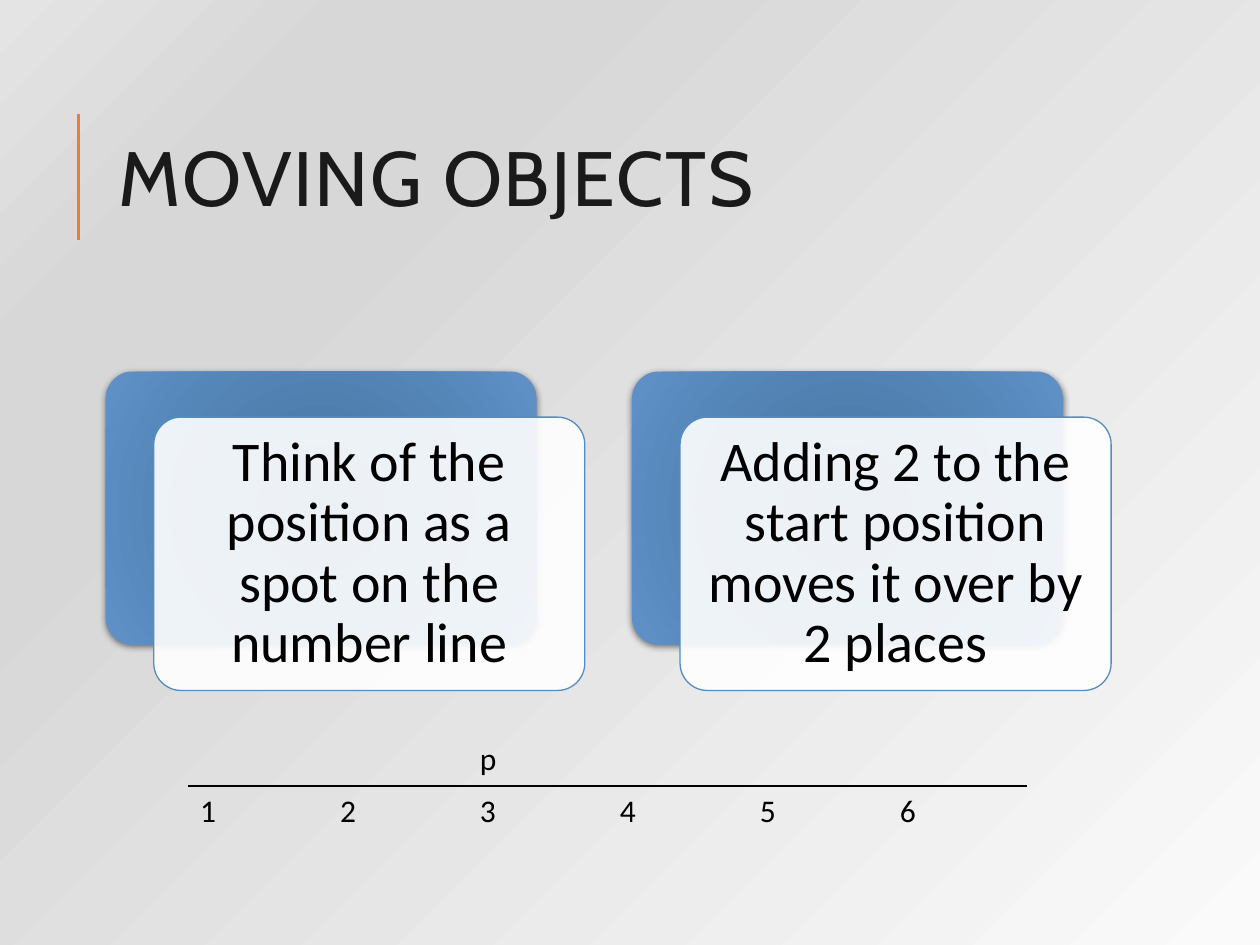
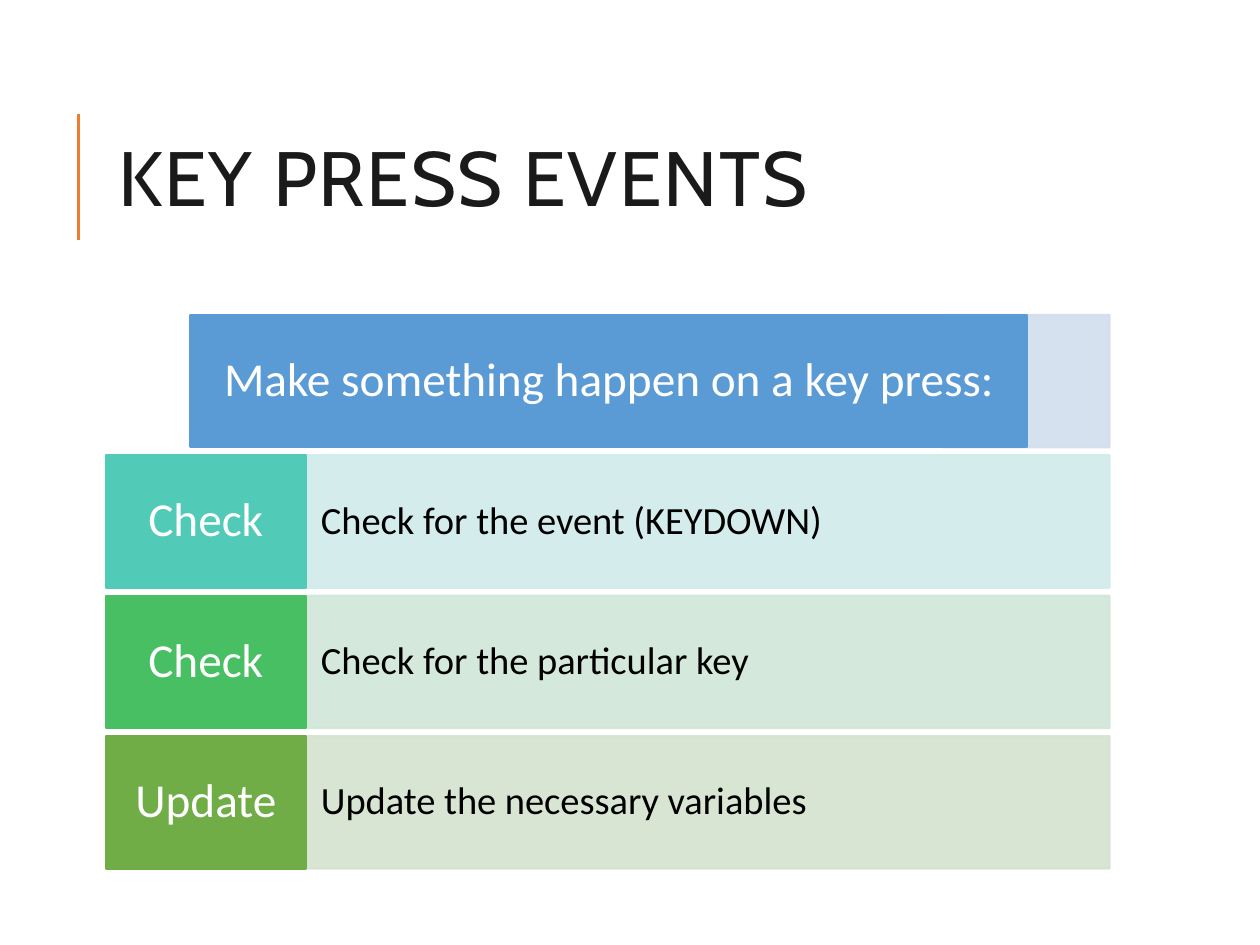
from dataclasses import dataclass

from lxml import etree
from pptx import Presentation
from pptx import util as u
from pptx.dml.color import RGBColor
from pptx.enum import shapes, text
from pptx.oxml import parse_xml
from pptx.oxml.ns import nsdecls, qn

COLOURS = {
    "white": "FFFFFF", "black": "000000", "title": "1A1A1A", "accent": "ED7D31",
    "card_line": "538DC1", "card_dark": "44749F", "card_light": "5F90C7",
    "blue": "5B9BD5", "blue_pale": "D2DEEF",
    "teal": "52CAB8", "teal_pale": "D0ECEA",
    "green": "49BF64", "green_pale": "D0E7D8",
    "olive": "70AD47", "olive_pale": "D5E3CF",
    "page_light": "FAFAFA", "page_mid": "D7D7D7", "page_end": "E4E4E4",
}
TITLE_FONT, BODY_FONT = "Cabin", "Calibri"
LEFT = 2.13


# Lengths in the records below are centimetres
@dataclass(frozen=True)
class Area:
    left: float
    top: float
    width: float
    height: float

    def lengths(self) -> list:
        return [u.Cm(n) for n in (self.left, self.top, self.width, self.height)]


@dataclass(frozen=True)
class Label:
    words: str
    size: int
    colour: str
    inset: tuple
    align: text.PP_ALIGN = text.PP_ALIGN.CENTER


@dataclass(frozen=True)
class Step:
    verb: str
    detail: str
    colour: str


def rgb(name: str) -> RGBColor:
    return RGBColor.from_string(COLOURS[name])


# Fills and effects
def gradient(parent, stops: list, direction: str) -> None:
    """Swap the solid fill of parent for a gradient."""
    marks = "".join(
        f'<a:gs pos="{place * 1000}"><a:srgbClr val="{COLOURS[name]}"/></a:gs>'
        for place, name in stops)
    fill = parse_xml(f'<a:gradFill {nsdecls("a")} rotWithShape="1">'
                     f'<a:gsLst>{marks}</a:gsLst>{direction}</a:gradFill>')
    parent.replace(parent.find(qn("a:solidFill")), fill)


def fade(shape, percent: int) -> None:
    for colour in shape._element.spPr.iter(qn("a:srgbClr")):
        etree.SubElement(colour, qn("a:alpha"), val=str(percent * 1000))


def soft_shadow(shape) -> None:
    effects = shape._element.spPr.find(qn("a:effectLst"))
    effects.append(parse_xml(
        f'<a:outerShdw {nsdecls("a")} blurRad="50800" dist="12700" dir="5400000" '
        f'algn="ctr" rotWithShape="0"><a:srgbClr val="{COLOURS["black"]}">'
        f'<a:alpha val="50000"/></a:srgbClr></a:outerShdw>'))


# Drawing
def add_span(para, words: str, size: int, colour: str, font: str = BODY_FONT):
    span = para.add_run()
    span.text = words
    span.font.size = u.Pt(size)
    span.font.name = font
    span.font.color.rgb = rgb(colour)
    return span


def add_box(page, area: Area, fill: str, line: str = "", weight: float = 1.25,
            opacity: int = 100, kind=shapes.MSO_SHAPE.RECTANGLE):
    box = page.shapes.add_shape(kind, *area.lengths())
    box.shadow.inherit = False
    box.fill.solid()
    box.fill.fore_color.rgb = rgb(fill)
    if line:
        box.line.color.rgb = rgb(line)
        box.line.width = u.Pt(weight)
    else:
        box.line.fill.background()
    if opacity < 100:
        fade(box, opacity)
    return box


def add_label(box, label: Label) -> None:
    frame = box.text_frame
    frame.word_wrap = True
    frame.vertical_anchor = text.MSO_ANCHOR.MIDDLE
    across, down = (u.Cm(n) for n in label.inset)
    frame.margin_left = frame.margin_right = across
    frame.margin_top = frame.margin_bottom = down
    para = frame.paragraphs[0]
    para.alignment = label.align
    para.line_spacing = 0.9
    add_span(para, label.words, label.size, label.colour)


def add_rule(page, x: float, top: float, bottom: float) -> None:
    rule = page.shapes.add_connector(
        shapes.MSO_CONNECTOR.STRAIGHT, u.Cm(x), u.Cm(bottom), u.Cm(x), u.Cm(top))
    rule.line.color.rgb = rgb("accent")
    rule.line.width = u.Pt(1.5)
    etree.SubElement(rule._element.spPr, qn("a:effectLst"))


def add_page(deck, heading: str):
    """Add a page with the shared accent rule and title style."""
    page = deck.slides.add_slide(deck.slide_layouts[5])
    page.background.fill.solid()
    page.background.fill.fore_color.rgb = rgb("white")
    add_rule(page, 1.58, 2.29, 4.83)
    title = page.shapes.title
    title.left, title.top, title.width, title.height = Area(LEFT, 1.63, 20.24, 4.17).lengths()
    frame = title.text_frame
    frame.word_wrap = True
    frame.auto_size = text.MSO_AUTO_SIZE.NONE
    frame.vertical_anchor = text.MSO_ANCHOR.MIDDLE
    para = frame.paragraphs[0]
    para.alignment = text.PP_ALIGN.LEFT
    para.line_spacing = 0.8
    span = add_span(para, heading, 44, "title", TITLE_FONT)
    span.font._element.set("spc", "100")
    return page


# Moving objects
def add_card(page, left: float, words: str) -> None:
    top, width, height = 7.49, 8.69, 5.51
    rounded = shapes.MSO_SHAPE.ROUNDED_RECTANGLE
    back = add_box(page, Area(left, top, width, height), "card_light", kind=rounded)
    gradient(back._element.spPr, [(0, "card_dark"), (100, "card_light")],
             '<a:path path="circle"><a:fillToRect l="100000" t="100000" '
             'r="100000" b="100000"/></a:path>')
    soft_shadow(back)
    front = add_box(page, Area(left + 0.97, top + 0.92, width, height), "white",
                    "card_line", 0.75, kind=rounded)
    front.fill.fore_color.rgb = rgb("white")
    fill_colour = front._element.spPr.find(qn("a:solidFill"))[0]
    etree.SubElement(fill_colour, qn("a:alpha"), val="90000")
    for box in (back, front):
        box.adjustments[0] = 0.1
    add_label(front, Label(words, 32, "black", (0.33, 0.33)))


def add_number_line(page, rows: list) -> None:
    area = Area(3.78, 14.81, 16.93, 2.06)
    frame = page.shapes.add_table(len(rows), len(rows[0]), *area.lengths())
    table = frame.table
    table.first_row = table.horz_banding = False
    style = table._tbl.tblPr.find(qn("a:tableStyleId"))
    style.text = "{2D5ABB26-0587-4C30-8999-92F81FD0307C}"
    for row_index, (row, edge) in enumerate(zip(rows, ("lnB", "lnT"))):
        for column, words in enumerate(row):
            cell = table.cell(row_index, column)
            cell.fill.background()
            cell._tc.get_or_add_tcPr().insert(0, parse_xml(
                f'<a:{edge} {nsdecls("a")} w="12700"><a:solidFill>'
                f'<a:srgbClr val="{COLOURS["black"]}"/></a:solidFill></a:{edge}>'))
            if words:
                add_span(cell.text_frame.paragraphs[0], words, 18, "black")


def moving_objects(deck) -> None:
    page = add_page(deck, "MOVING OBJECTS")
    gradient(page._element.find(".//" + qn("p:bgPr")),
             [(0, "page_light"), (74, "page_mid"), (83, "page_mid"), (100, "page_end")],
             '<a:lin ang="13500000" scaled="0"/>')
    cards = ("Think of the position as a spot on the number line",
             "Adding 2 to the start position moves it over by 2 places")
    for index, words in enumerate(cards):
        add_card(page, LEFT + index * 10.61, words)
    add_number_line(page, [["", "", "p", "", "", ""], list("123456")])


# Key press events
def key_press_events(deck) -> None:
    page = add_page(deck, "KEY PRESS EVENTS")
    top, pitch, height = 6.35, 2.83, 2.67
    verb_width, detail_width = 4.04, 16.2

    add_box(page, Area(19, top, 3.37, height), "blue_pale", "blue_pale", opacity=90)
    header = add_box(page, Area(3.84, top, 16.87, height), "blue", "blue")
    add_label(header, Label("Make something happen on a key press:", 27, "white", (0.05, 0.25)))

    steps = (Step("Check", "Check for the event (KEYDOWN)", "teal"),
             Step("Check", "Check for the particular key", "green"),
             Step("Update", "Update the necessary variables", "olive"))
    for index, step in enumerate(steps, start=1):
        row_top = top + index * pitch
        pale = step.colour + "_pale"
        detail = add_box(page, Area(LEFT + verb_width, row_top, detail_width, height),
                         pale, pale, opacity=90)
        add_label(detail, Label(step.detail, 22, "black", (0.3, 0.68), text.PP_ALIGN.LEFT))
        verb = add_box(page, Area(LEFT, row_top, verb_width, height), step.colour, step.colour)
        add_label(verb, Label(step.verb, 27, "white", (0.2, 0.25)))


def main() -> None:
    deck = Presentation()
    deck.slide_width, deck.slide_height = u.Cm(25.4), u.Cm(19.05)
    moving_objects(deck)
    key_press_events(deck)
    deck.save("out.pptx")


if __name__ == "__main__":
    main()
